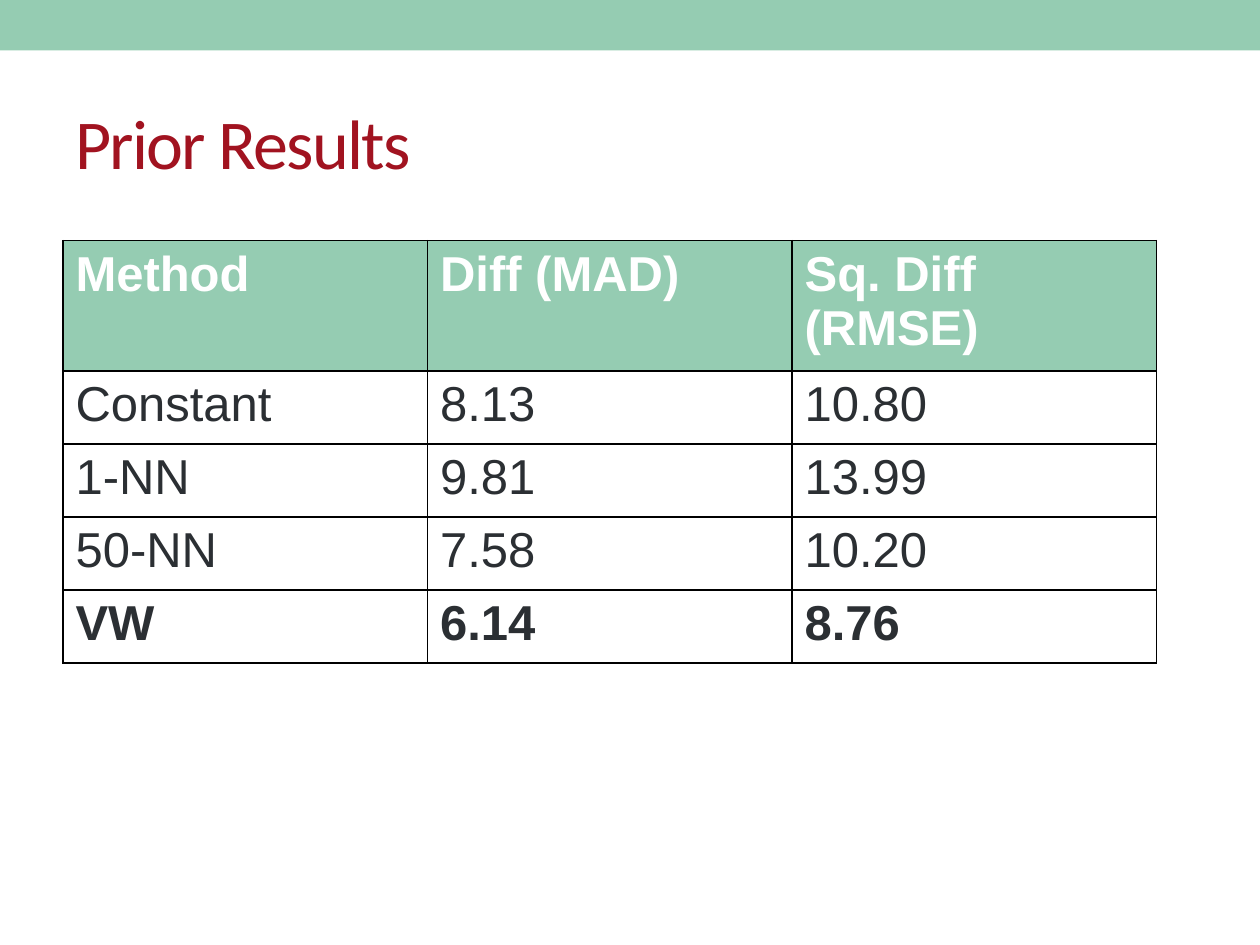
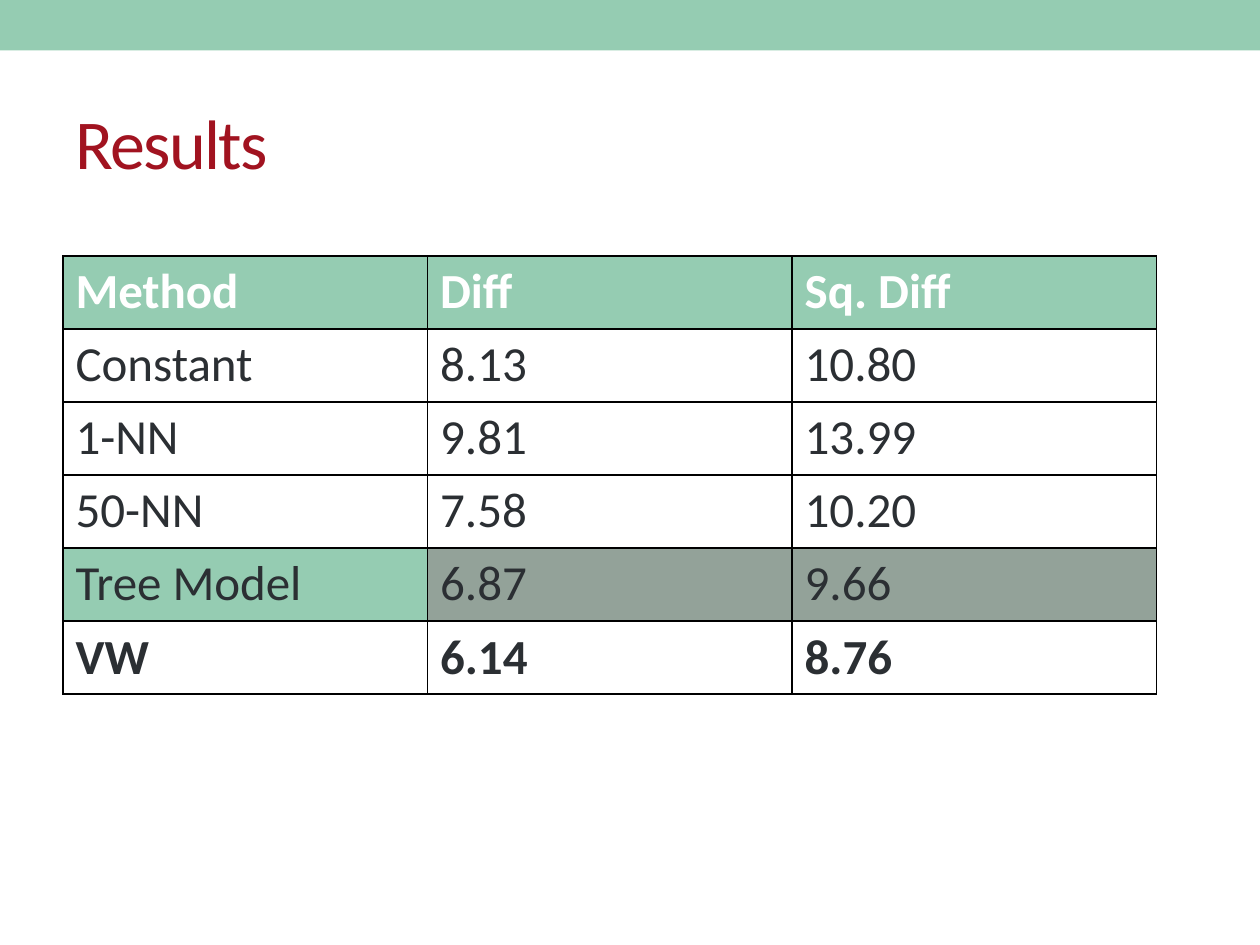
from lxml import etree
from pptx import Presentation
from pptx import util as u
from pptx.dml import color
from pptx.enum import shapes, text
from pptx.oxml import ns

BASELINES = [
    ("Constant", "8.13", "10.80"),
    ("1-NN", "9.81", "13.99"),
    ("50-NN", "7.58", "10.20"),
]
TREE_MODEL = ("Tree Model", "6.87", "9.66")
BEST = ("VW", "6.14", "8.76")

SLIDES = [
    {
        "title": "Prior Results",
        "font": "Arial",
        "top": 1.91,
        "rows": [("Method", "Diff (MAD)", "Sq. Diff (RMSE)"), *BASELINES, BEST],
    },
    {
        "title": "Results",
        "font": "Calibri",
        "top": 2.03,
        "rows": [("Method", "Diff", "Sq. Diff"), *BASELINES, TREE_MODEL, BEST],
    },
]

COLORS = {
    "green": "95CCB2",
    "sage": "93A299",
    "red": "A11320",
    "ink": "2B2F33",
    "white": "FFFFFF",
    "border": "000000",
}
SLIDE_WIDTH, SLIDE_HEIGHT = 10, 7.5
MARGIN = 0.5
BAND_HEIGHT = 0.4
TABLE_WIDTH = 8.68
ROW_HEIGHT = 0.58


def rgb(name):
    return color.RGBColor.from_string(COLORS[name])


def style_font(font, name, size, color_name, bold=False):
    font.name = name
    font.size = u.Pt(size)
    font.bold = bold
    font.color.rgb = rgb(color_name)


def add_band(slide):
    band = slide.shapes.add_shape(
        shapes.MSO_SHAPE.RECTANGLE, 0, 0, u.Inches(SLIDE_WIDTH), u.Inches(BAND_HEIGHT))
    band.shadow.inherit = False
    band.fill.solid()
    band.fill.fore_color.rgb = rgb("green")
    band.line.fill.background()


def add_title(slide, title):
    box = slide.shapes.add_textbox(
        u.Inches(MARGIN), u.Inches(0.58), u.Inches(SLIDE_WIDTH - 2 * MARGIN), u.Inches(1.08))
    frame = box.text_frame
    frame.word_wrap = True
    frame.vertical_anchor = text.MSO_ANCHOR.MIDDLE
    paragraph = frame.paragraphs[0]
    run = paragraph.add_run()
    run.text = title
    style_font(paragraph.font, "Calibri", 40, "red")
    run._r.get_or_add_rPr().set("spc", "-100")


def add_borders(cell):
    properties = cell._tc.get_or_add_tcPr()
    for side in ("a:lnL", "a:lnR", "a:lnT", "a:lnB"):
        line = etree.SubElement(properties, ns.qn(side), w=str(u.Pt(1)))
        fill = etree.SubElement(line, ns.qn("a:solidFill"))
        etree.SubElement(fill, ns.qn("a:srgbClr"), val=COLORS["border"])


def fill_name(row, column, values):
    if row == 0:
        return "green"
    if values == TREE_MODEL:
        return "green" if column == 0 else "sage"
    return None


def add_results_table(slide, rows, font_name, top):
    table = slide.shapes.add_table(
        len(rows), len(rows[0]), u.Inches(MARGIN), u.Inches(top),
        u.Inches(TABLE_WIDTH), u.Inches(ROW_HEIGHT * len(rows))).table
    for row, values in enumerate(rows):
        for column, value in enumerate(values):
            cell = table.cell(row, column)
            cell.text = value
            style_font(cell.text_frame.paragraphs[0].font, font_name, 28,
                       "white" if row == 0 else "ink", row == 0 or values == BEST)
            add_borders(cell)
            fill = fill_name(row, column, values)
            if fill:
                cell.fill.solid()
                cell.fill.fore_color.rgb = rgb(fill)
            else:
                cell.fill.background()


def main():
    presentation = Presentation()
    presentation.slide_width = u.Inches(SLIDE_WIDTH)
    presentation.slide_height = u.Inches(SLIDE_HEIGHT)
    for content in SLIDES:
        slide = presentation.slides.add_slide(presentation.slide_layouts[6])
        add_band(slide)
        add_title(slide, content["title"])
        add_results_table(slide, content["rows"], content["font"], content["top"])
    presentation.save("out.pptx")


if __name__ == "__main__":
    main()
